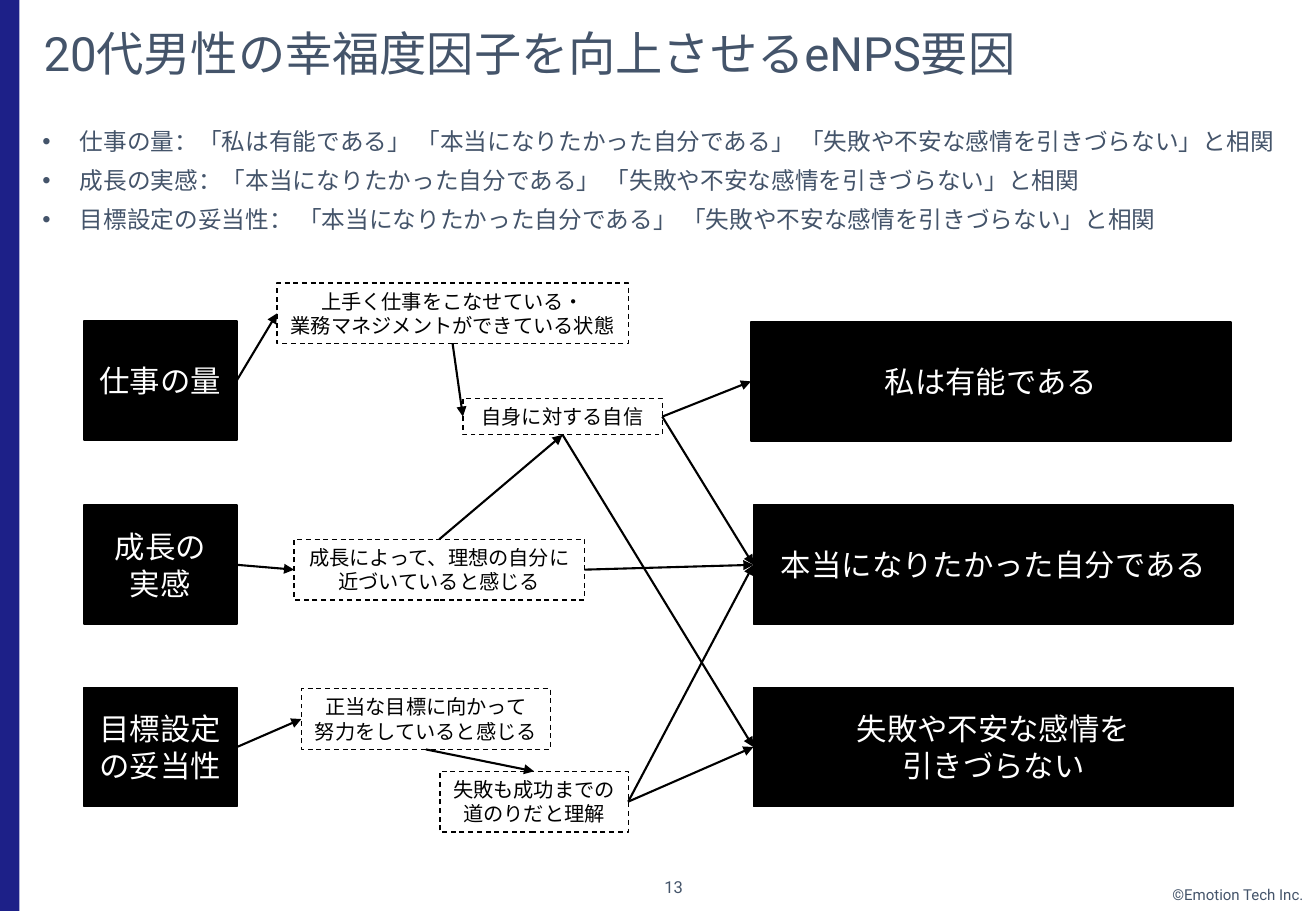
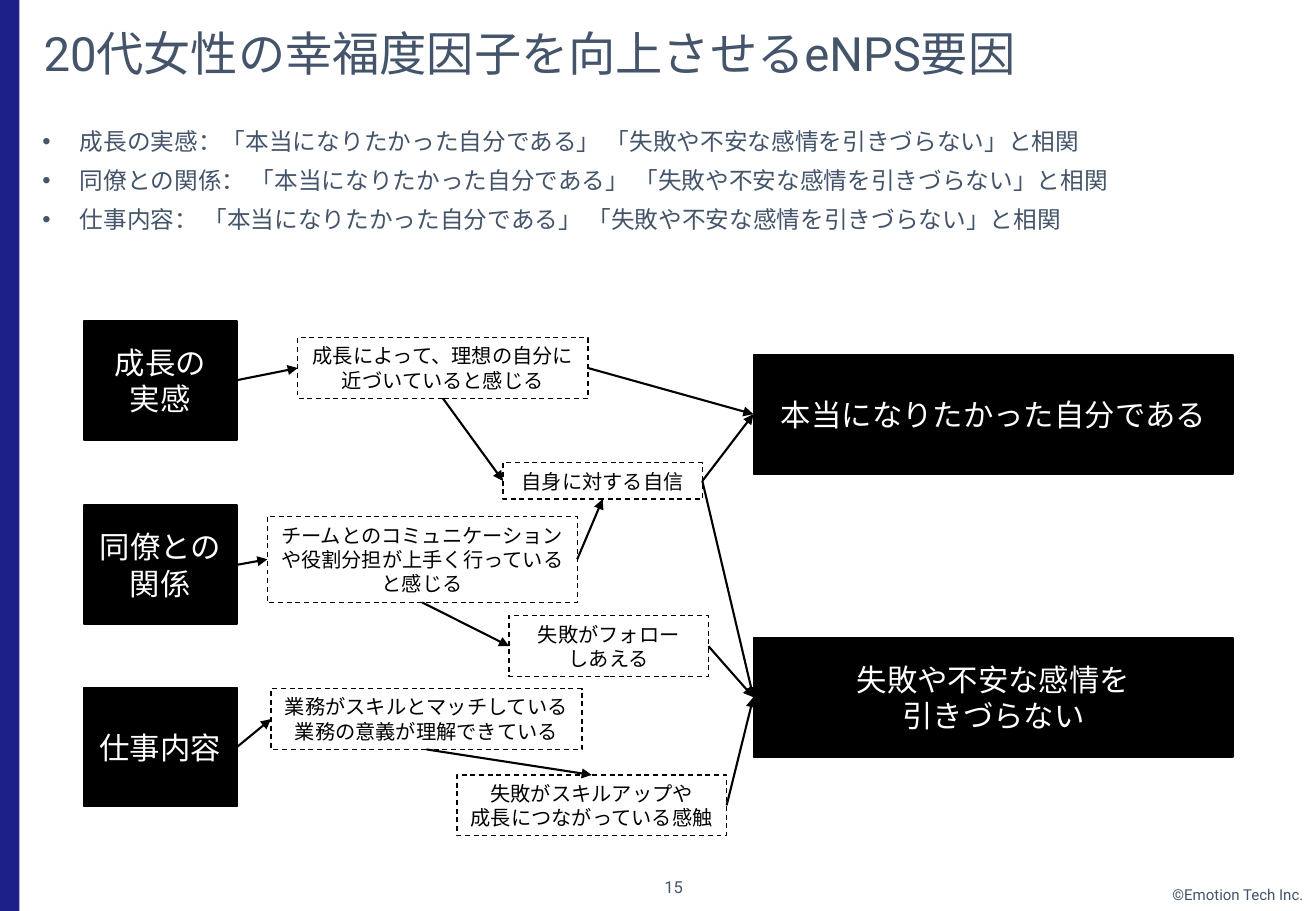
from lxml.etree import SubElement
from pptx import Presentation
from pptx.dml.color import RGBColor
from pptx.enum.dml import MSO_LINE
from pptx.enum.shapes import MSO_CONNECTOR, MSO_SHAPE
from pptx.enum.text import MSO_ANCHOR, PP_ALIGN
from pptx.oxml.ns import qn
from pptx.util import Inches, Pt

COLORS = {"band": "1D2088", "text": "44546A", "black": "000000", "white": "FFFFFF"}
LATIN, JAPANESE = "Roboto", "Noto Sans CJK JP"
TOP, LEFT, BOTTOM, RIGHT = range(4)
CAUSE_TOPS = (2.64, 4.16, 5.66)

IDEAL_SELF = "本当になりたかった自分である"
LET_GO = "失敗や不安な感情を\n引きづらない"
GROWING = "成長によって、理想の自分に\n近づいていると感じる"
CONFIDENCE = "自身に対する自信"
TO_BOTH = "「本当になりたかった自分である」 「失敗や不安な感情を引きづらない」と相関"

SLIDES = [
    {
        "title": "20代男性の幸福度因子を向上させるeNPS要因",
        "number": "13",
        "bullets": [
            "仕事の量：「私は有能である」 " + TO_BOTH,
            "成長の実感：" + TO_BOTH,
            "目標設定の妥当性： " + TO_BOTH,
        ],
        "causes": {"workload": "仕事の量", "growth": "成長の\n実感", "goals": "目標設定の妥当性"},
        "feelings": {
            "managing": ("上手く仕事をこなせている・\n業務マネジメントができている状態", 2.28, 2.33, 2.89, 0.5),
            "confidence": (CONFIDENCE, 3.81, 3.28, 1.64, 0.3),
            "growing": (GROWING, 2.42, 4.44, 2.39, 0.5),
            "striving": ("正当な目標に向かって\n努力をしていると感じる", 2.48, 5.67, 2.05, 0.5),
            "learning": ("失敗も成功までの\n道のりだと理解", 3.62, 6.35, 1.55, 0.5),
        },
        "outcomes": {
            "capable": ("私は有能である", 6.18, 2.65),
            "ideal": (IDEAL_SELF, 6.2, 4.16),
            "let_go": (LET_GO, 6.2, 5.66),
        },
        "arrows": [
            ("workload", RIGHT, "managing", LEFT),
            ("managing", BOTTOM, "confidence", LEFT),
            ("confidence", RIGHT, "capable", LEFT),
            ("confidence", RIGHT, "ideal", LEFT),
            ("confidence", BOTTOM, "let_go", LEFT),
            ("growth", RIGHT, "growing", LEFT),
            ("growing", RIGHT, "ideal", LEFT),
            ("growing", TOP, "confidence", BOTTOM),
            ("goals", RIGHT, "striving", LEFT),
            ("striving", BOTTOM, "learning", TOP),
            ("learning", RIGHT, "let_go", LEFT),
            ("learning", RIGHT, "ideal", LEFT),
        ],
    },
    {
        "title": "20代女性の幸福度因子を向上させるeNPS要因",
        "number": "15",
        "bullets": [
            "成長の実感：" + TO_BOTH,
            "同僚との関係： " + TO_BOTH,
            "仕事内容： " + TO_BOTH,
        ],
        "causes": {"growth": "成長の\n実感", "colleagues": "同僚との関係", "duties": "仕事内容"},
        "feelings": {
            "growing": (GROWING, 2.45, 2.78, 2.39, 0.5),
            "confidence": (CONFIDENCE, 4.14, 3.81, 1.64, 0.3),
            "teamwork": ("チームとのコミュニケーションや役割分担が上手く行っていると感じる", 2.2, 4.25, 2.55, 0.71),
            "support": ("失敗がフォロー\nしあえる", 4.19, 5.07, 1.64, 0.5),
            "matching": ("業務がスキルとマッチしている\n業務の意義が理解できている", 2.23, 5.67, 2.56, 0.5),
            "learning": ("失敗がスキルアップや\n成長につながっている感触", 3.76, 6.38, 2.22, 0.5),
        },
        "outcomes": {
            "ideal": (IDEAL_SELF, 6.2, 2.92),
            "let_go": (LET_GO, 6.2, 5.25),
        },
        "arrows": [
            ("growth", RIGHT, "growing", LEFT),
            ("growing", RIGHT, "ideal", LEFT),
            ("growing", BOTTOM, "confidence", LEFT),
            ("confidence", RIGHT, "ideal", LEFT),
            ("confidence", RIGHT, "let_go", LEFT),
            ("colleagues", RIGHT, "teamwork", LEFT),
            ("teamwork", RIGHT, "confidence", BOTTOM),
            ("teamwork", BOTTOM, "support", LEFT),
            ("support", RIGHT, "let_go", LEFT),
            ("duties", RIGHT, "matching", LEFT),
            ("matching", BOTTOM, "learning", TOP),
            ("learning", RIGHT, "let_go", LEFT),
        ],
    },
]


def color(name):
    return RGBColor.from_string(COLORS[name])


def add_bullet(para):
    props = para._p.get_or_add_pPr()
    props.set("marL", str(Inches(0.31)))
    props.set("indent", str(Inches(-0.31)))
    SubElement(props, qn("a:buFont"), typeface="Arial")
    SubElement(props, qn("a:buChar"), char="•")


def write(shape, lines, size, ink, align=PP_ALIGN.LEFT, latin=LATIN, spacing=1.2,
          before=0, bullets=False, wrap=True):
    frame = shape.text_frame
    frame.word_wrap = wrap
    frame.vertical_anchor = MSO_ANCHOR.MIDDLE
    for index, line in enumerate(lines):
        para = frame.paragraphs[0] if index == 0 else frame.add_paragraph()
        para.text = line
        para.alignment = align
        para.line_spacing = Pt(size * spacing)
        if index and before:
            para.space_before = Pt(before)
        if bullets:
            add_bullet(para)
        para.font.size = Pt(size)
        para.font.name = latin
        para.font.color.rgb = color(ink)
        SubElement(para.font._element, qn("a:ea"), typeface=JAPANESE)


def add_text(page, box, lines, size, **style):
    write(page.shapes.add_textbox(*map(Inches, box)), lines, size, "text", **style)


def add_rect(page, box, fill):
    rect = page.shapes.add_shape(MSO_SHAPE.RECTANGLE, *map(Inches, box))
    rect.shadow.inherit = False
    rect.fill.solid()
    rect.fill.fore_color.rgb = color(fill)
    rect.line.fill.background()
    return rect


def add_factor(page, box, text):
    rect = add_rect(page, box, "black")
    rect.line.color.rgb = color("black")
    rect.line.width = Pt(1)
    write(rect, text.split("\n"), 18, "white", PP_ALIGN.CENTER)
    return rect


def add_feeling(page, box, text):
    rect = add_rect(page, box, "white")
    fill = rect._element.spPr.find(qn("a:solidFill"))
    SubElement(fill[0], qn("a:alpha"), val="70000")
    rect.line.color.rgb = color("black")
    rect.line.width = Pt(0.75)
    rect.line.dash_style = MSO_LINE.DASH
    write(rect, text.split("\n"), 12, "black", PP_ALIGN.CENTER)
    return rect


def add_arrow(page, start, start_site, end, end_site):
    arrow = page.shapes.add_connector(MSO_CONNECTOR.STRAIGHT, 0, 0, 0, 0)
    arrow.begin_connect(start, start_site)
    arrow.end_connect(end, end_site)
    arrow.line.color.rgb = color("black")
    arrow.line.width = Pt(1.25)
    SubElement(arrow.line._get_or_add_ln(), qn("a:tailEnd"), type="triangle")
    SubElement(arrow._element.spPr, qn("a:effectLst"))


def add_frame(page, title, number):
    add_rect(page, (0, 0, 0.16, 7.5), "band")
    add_text(page, (9.55, 7.24, 1.29, 0.25), ["©Emotion Tech Inc."], 8.9, wrap=False)
    add_text(page, (4.63, 7.1, 1.83, 0.4), [number], 9.8, align=PP_ALIGN.CENTER)
    add_text(page, (0.26, 0.05, 9.88, 0.81), [title], 28, spacing=1.08)


def add_diagram(page, causes, feelings, outcomes, arrows):
    nodes = {}
    for top, (name, text) in zip(CAUSE_TOPS, causes.items()):
        nodes[name] = add_factor(page, (0.69, top, 1.26, 0.98), text)
    for name, (text, left, top) in outcomes.items():
        nodes[name] = add_factor(page, (left, top, 3.95, 0.98), text)
    for name, (text, *box) in feelings.items():
        nodes[name] = add_feeling(page, box, text)
    for start, start_site, end, end_site in arrows:
        add_arrow(page, nodes[start], start_site, nodes[end], end_site)


def main():
    deck = Presentation()
    deck.slide_width, deck.slide_height = Inches(10.83), Inches(7.5)
    for content in SLIDES:
        page = deck.slides.add_slide(deck.slide_layouts[6])
        add_frame(page, content["title"], content["number"])
        add_text(page, (0.25, 0.86, 10.48, 1.27), content["bullets"], 14,
                 latin=JAPANESE, spacing=1.08, before=8.1, bullets=True)
        add_diagram(page, content["causes"], content["feelings"],
                    content["outcomes"], content["arrows"])
    deck.save("out.pptx")


if __name__ == "__main__":
    main()
